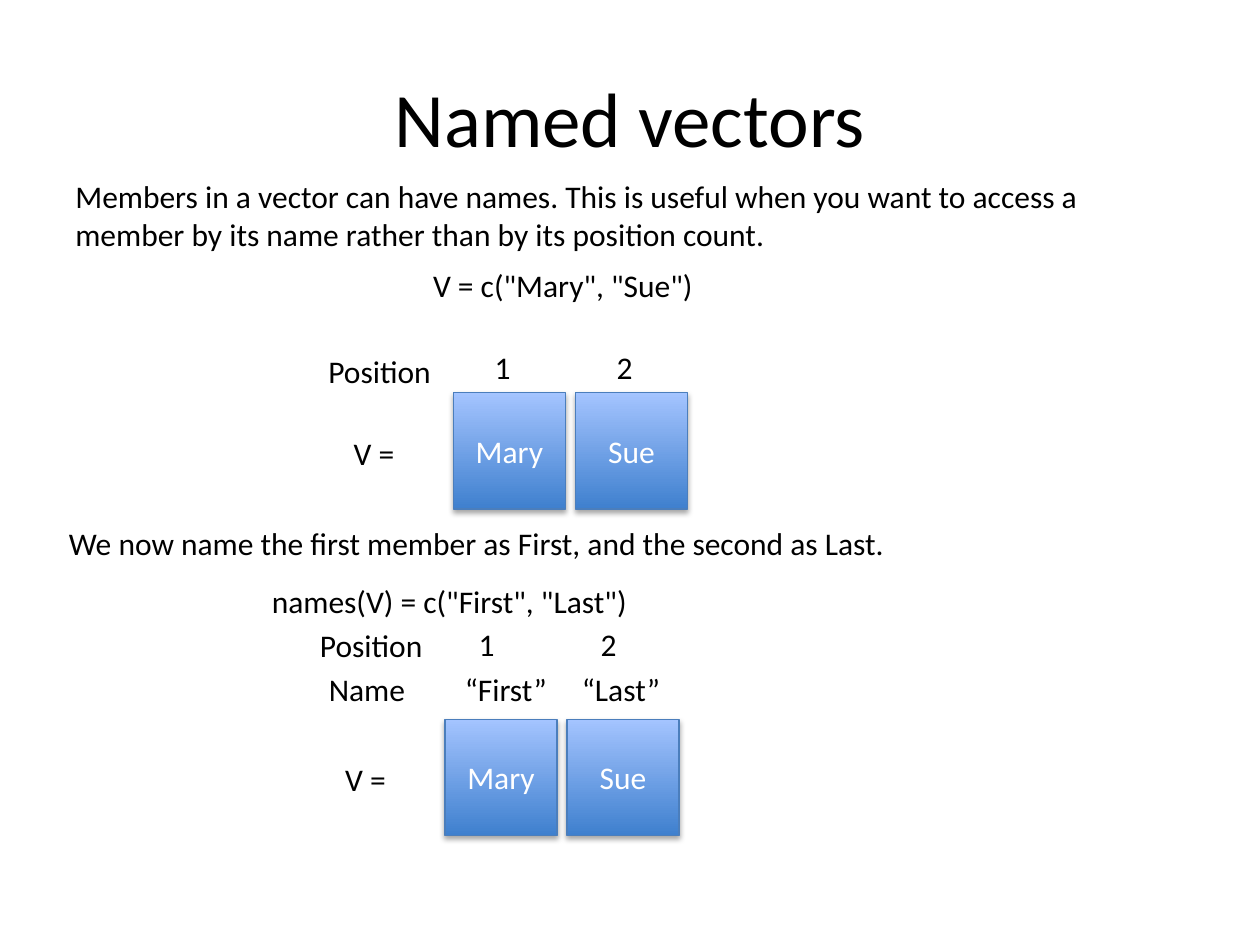
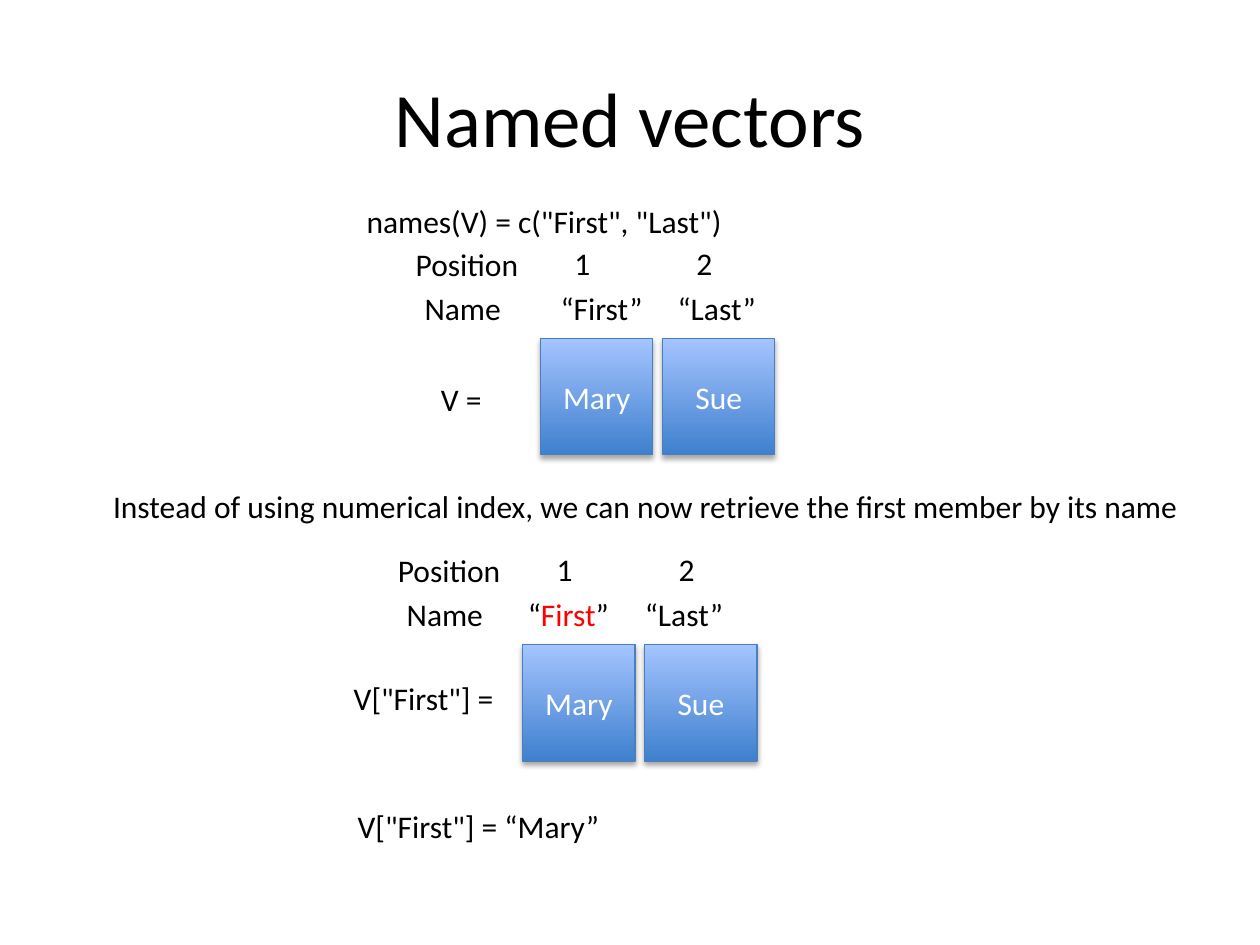
from typing import NamedTuple

from lxml.etree import SubElement
from pptx import Presentation
from pptx.dml.color import RGBColor
from pptx.enum.shapes import MSO_SHAPE
from pptx.enum.text import MSO_ANCHOR, PP_ALIGN
from pptx.oxml.ns import qn
from pptx.util import Cm, Pt

BLACK = RGBColor(0x00, 0x00, 0x00)
WHITE = RGBColor(0xFF, 0xFF, 0xFF)
RED = RGBColor(0xFF, 0x00, 0x00)
BOX_DARK = RGBColor(0x3F, 0x80, 0xCE)
BOX_LIGHT = RGBColor(0xA4, 0xC4, 0xFF)
BOX_LINE = RGBColor(0x4B, 0x7E, 0xBC)

TITLE = "Named vectors"
BODY = {"name": "Calibri", "size": Pt(18)}
HEADING = {"name": "Calibri", "size": Pt(44)}

# Lengths in centimetres
LINE_H = 1.02
BOX_W, BOX_H, BOX_PITCH = 2.26, 2.34, 2.46
NAME_PITCH = 2.36
MEMBERS = ("Mary", "Sue")
NAMES = ("First", "Last")


class Note(NamedTuple):
    text: str
    x: float
    y: float
    w: float
    h: float = LINE_H


class Vector(NamedTuple):
    """A row of member boxes; x and y are the corner of the first box."""
    x: float
    y: float
    named: bool = True
    label: Note = Note("V =", -2.26, 0.7, 1.5)
    number_dx: float = 0.43
    name_dx: float = 0.15
    highlight: str = ""


class Page(NamedTuple):
    notes: tuple[Note, ...]
    vectors: tuple[Vector, ...]


def fill_text(tf, runs, fmt=BODY, align=PP_ALIGN.LEFT, anchor=MSO_ANCHOR.TOP) -> None:
    tf.word_wrap = True
    tf.vertical_anchor = anchor
    p = tf.paragraphs[0]
    p.alignment = align
    for text, color in runs:
        r = p.add_run()
        r.text = text
        for key, value in fmt.items():
            setattr(r.font, key, value)
        r.font.color.rgb = color


def add_runs(s, runs, x: float, y: float, w: float, h: float = LINE_H, **style) -> None:
    sp = s.shapes.add_textbox(Cm(x), Cm(y), Cm(w), Cm(h))
    fill_text(sp.text_frame, runs, **style)


def add_note(s, note: Note, dx: float = 0, dy: float = 0) -> None:
    add_runs(s, [(note.text, BLACK)], note.x + dx, note.y + dy, note.w, note.h)


def add_member(s, text: str, x: float, y: float) -> None:
    sp = s.shapes.add_shape(MSO_SHAPE.RECTANGLE, Cm(x), Cm(y), Cm(BOX_W), Cm(BOX_H))
    sp.fill.gradient()
    sp.fill.gradient_angle = 90
    for stop, position, color in zip(sp.fill.gradient_stops, (0, 1), (BOX_DARK, BOX_LIGHT)):
        stop.position = position
        stop.color.rgb = color
    sp.line.color.rgb = BOX_LINE
    sp.line.width = Pt(0.75)
    # Soft shadow below the box
    sp.shadow.inherit = False
    effects = sp._element.spPr.find(qn("a:effectLst"))
    shadow = SubElement(effects, qn("a:outerShdw"), blurRad="40000", dist="23000",
                        dir="5400000", rotWithShape="0")
    color = SubElement(shadow, qn("a:srgbClr"), val="000000")
    SubElement(color, qn("a:alpha"), val="35000")
    fill_text(sp.text_frame, [(text, WHITE)], align=PP_ALIGN.CENTER,
              anchor=MSO_ANCHOR.MIDDLE)


def add_vector(s, v: Vector) -> None:
    # Row labels
    position_dy, number_dy = (-2.01, -2.03) if v.named else (-0.94, -1.02)
    add_note(s, Note("Position", -2.77, position_dy, 2.64), v.x, v.y)
    add_note(s, v.label, v.x, v.y)
    if v.named:
        add_note(s, Note("Name", -2.59, -1.12, 2.06), v.x, v.y)
    # One column per member
    for i, (member, name) in enumerate(zip(MEMBERS, NAMES)):
        column = v.x + i * BOX_PITCH
        add_member(s, member, column, v.y)
        add_note(s, Note(str(i + 1), v.number_dx, number_dy, 1.2), column, v.y)
        if v.named:
            color = RED if name == v.highlight else BLACK
            add_runs(s, [("“", BLACK), (name, color), ("”", BLACK)],
                     v.x + v.name_dx + i * NAME_PITCH, v.y - 1.12, NAME_PITCH)


PAGES = (
    Page(
        notes=(
            Note("Members in a vector can have names. This is useful when you want to "
                 "access a member by its name rather than by its position count.",
                 1.27, 3.45, 22.86, 1.8),
            Note('V = c("Mary", "Sue")', 8.48, 5.23, 5.97),
            Note("We now name the first member as First, and the second as Last.",
                 1.14, 10.44, 22.99),
            Note('names(V) = c("First", "Last")', 5.23, 11.61, 7.82),
        ),
        vectors=(
            Vector(9.14, 7.92, named=False, number_dx=0.58),
            Vector(8.97, 14.5),
        ),
    ),
    Page(
        notes=(
            Note('names(V) = c("First", "Last")', 7.14, 3.94, 7.82),
            Note("Instead of using numerical index, we can now retrieve the first "
                 "member by its name", 2.03, 9.7, 22.1),
            Note('V["First"] = “Mary”', 6.96, 16.15, 5.41),
        ),
        vectors=(
            Vector(10.9, 6.83),
            Vector(10.54, 13.0, label=Note('V["First"] =', -3.66, 0.56, 3.66),
                   name_dx=-0.15, highlight="First"),
        ),
    ),
)


def main() -> None:
    prs = Presentation()
    prs.slide_width, prs.slide_height = Cm(25.4), Cm(19.05)
    for page in PAGES:
        s = prs.slides.add_slide(prs.slide_layouts[6])
        add_runs(s, [(TITLE, BLACK)], 1.27, 0.76, 22.86, 3.18, fmt=HEADING,
                 align=PP_ALIGN.CENTER, anchor=MSO_ANCHOR.MIDDLE)
        for note in page.notes:
            add_note(s, note)
        for vector in page.vectors:
            add_vector(s, vector)
    prs.save("out.pptx")


if __name__ == "__main__":
    main()
